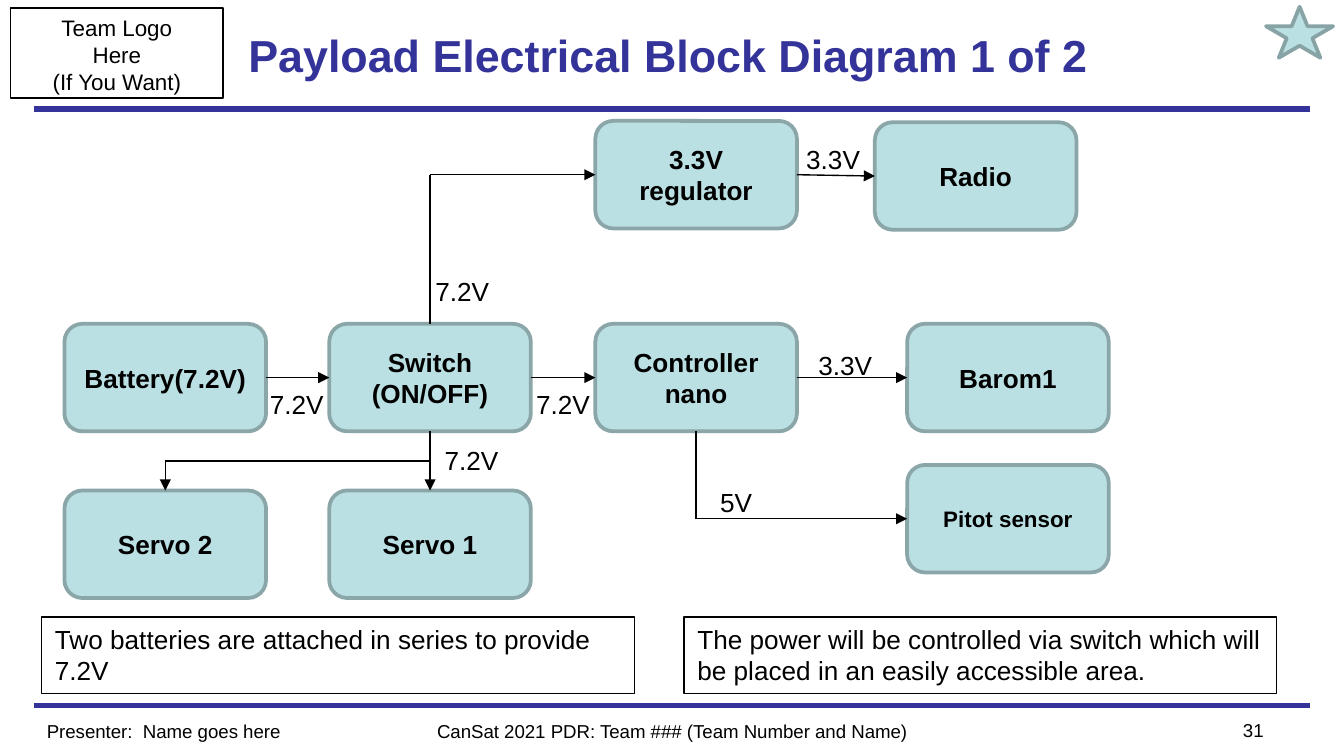
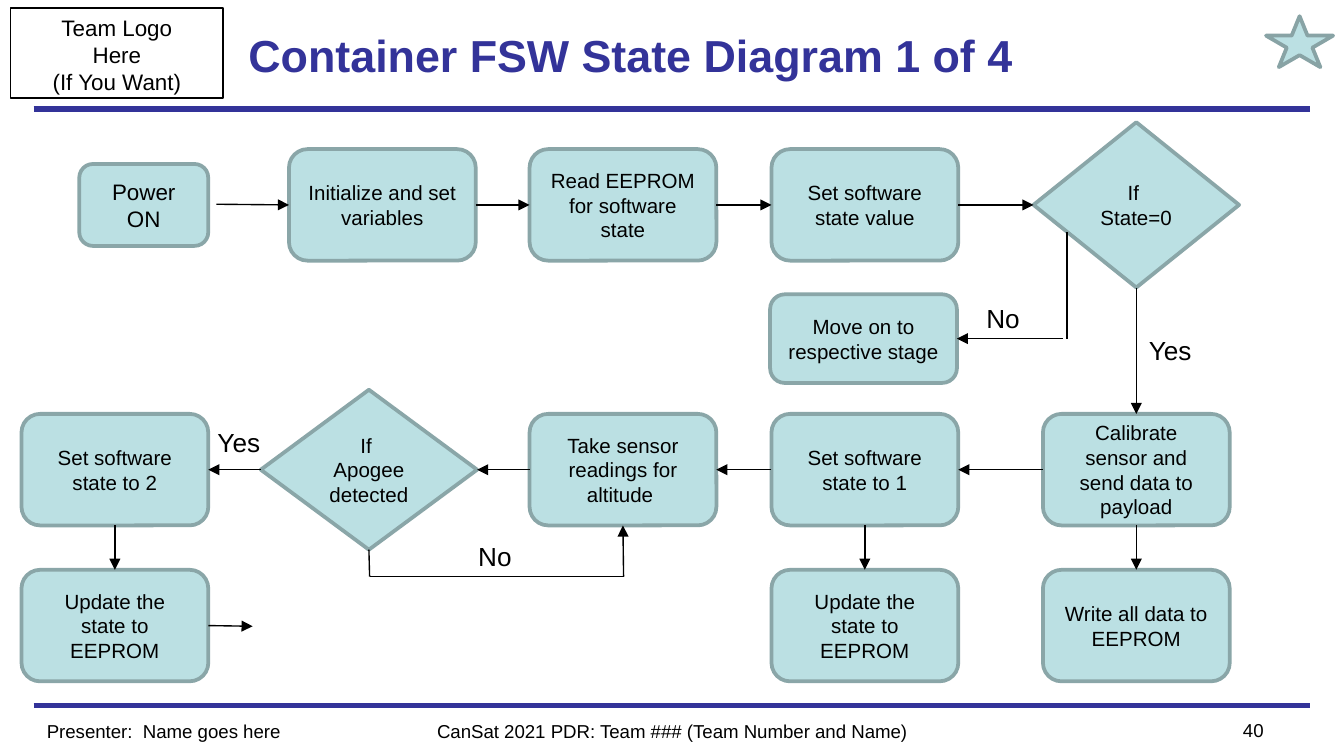
from lxml.etree import SubElement
from pptx import Presentation
from pptx.dml.color import RGBColor
from pptx.enum.shapes import MSO_CONNECTOR, MSO_SHAPE
from pptx.enum.text import MSO_ANCHOR, MSO_AUTO_SIZE, PP_ALIGN
from pptx.oxml.ns import qn
from pptx.util import Pt

PX = 9144  # EMU in one px, 100 px to the inch
SLIDE_WIDTH = 1000  # the slide is 16:9

FONT = "Arial"
BLACK = RGBColor(0x00, 0x00, 0x00)
NAVY = RGBColor(0x33, 0x33, 0x99)
AQUA = RGBColor(0xBB, 0xE0, 0xE3)
STAR_EDGE = RGBColor(0x88, 0xA3, 0xA5)
NODE_EDGE = RGBColor(0x8A, 0xA6, 0xA8)

# Shared frame
LOGO_TEXT = "Team Logo\nHere\n(If You Want)"
PRESENTER = "Presenter:  Name goes here"
FOOTER = "CanSat 2021 PDR: Team ### (Team Number and Name)"
BAND_LEVELS = (81, 525)

SITES = {"top": 0, "left": 1, "bottom": 2, "right": 3}
LABEL_WIDTHS = {"7.2V": 61, "3.3V": 61, "5V": 61, "Yes": 54, "No": 45}

# Block diagram: name -> (text, left, top)
BLOCK_SIZE = (150, 80)
BLOCKS = {
    "battery": ("Battery(7.2V)", 48, 241),
    "switch": ("Switch\n(ON/OFF)", 245, 241),
    "controller": ("Controller nano", 443, 241),
    "regulator": ("3.3V regulator", 443, 90),
    "radio": ("Radio", 651, 91),
    "barometer": ("Barom1", 675, 241),
    "pitot": ("Pitot sensor", 675, 346),
    "servo 1": ("Servo 1", 245, 365),
    "servo 2": ("Servo 2", 48, 365),
}
SMALL_BLOCKS = {"pitot"}
# Each wire passes through node sides (name, side) and free points (x, y)
WIRES = [
    [("battery", "right"), ("switch", "left")],
    [("switch", "right"), ("controller", "left")],
    [("switch", "top"), (320, 130), ("regulator", "left")],
    [("regulator", "right"), ("radio", "left")],
    [("controller", "right"), ("barometer", "left")],
    [("controller", "bottom"), (518, 386), ("pitot", "left")],
    [("switch", "bottom"), ("servo 1", "top")],
    [(320, 343), (123, 343), ("servo 2", "top")],
]
VOLTAGES = [
    ("7.2V", 314, 200), ("7.2V", 389, 284), ("7.2V", 191, 284),
    ("3.3V", 599, 255), ("5V", 526, 357), ("3.3V", 590, 102),
    ("7.2V", 321, 326),
]
NOTES = [
    ("Two batteries are attached in series to provide 7.2V", 31),
    ("The power will be controlled via switch which will be placed in an "
     "easily accessible area.", 509),
]

# State diagram: columns and rows of equal boxes
STATE_SIZE = (139, 83)
COLUMNS = {"A": 16, "B": 215, "C": 394, "D": 574, "E": 776}
ROWS = {1: 111, 2: 308, 3: 424}
STATES = {
    "initialize": ("Initialize and set variables", "B", 1),
    "read": ("Read EEPROM for software state", "C", 1),
    "set value": ("Set software state value", "D", 1),
    "calibrate": ("Calibrate sensor and send data to payload", "E", 2),
    "set 1": ("Set software state to 1", "D", 2),
    "altitude": ("Take sensor readings for altitude ", "C", 2),
    "set 2": ("Set software state to 2", "A", 2),
    "update 2": ("Update the state to EEPROM", "A", 3),
    "write": ("Write all data to EEPROM", "E", 3),
    "update 1": ("Update the state to EEPROM", "D", 3),
}
# Nodes of other sizes: name -> (shape, text, frame, text size)
SPECIAL_STATES = {
    "power": (MSO_SHAPE.ROUNDED_RECTANGLE, "Power ON", (59, 122, 96, 61), 12),
    "move on": (MSO_SHAPE.ROUNDED_RECTANGLE, "Move on to respective stage",
                (573, 219, 139, 66), 11),
    "state 0": (MSO_SHAPE.DIAMOND, "If \nState=0", (769, 91, 153, 123), 11),
    "apogee": (MSO_SHAPE.DIAMOND, "If \nApogee detected",
               (194, 290, 161, 119), 11),
}
TRANSITIONS = [
    [(161, 152), ("initialize", "left")],
    [("initialize", "right"), ("read", "left")],
    [("read", "right"), ("set value", "left")],
    [("set value", "right"), ("state 0", "left")],
    [("state 0", "bottom"), ("calibrate", "top")],
    [("calibrate", "left"), ("set 1", "right")],
    [("calibrate", "bottom"), ("write", "top")],
    [("set 1", "bottom"), ("update 1", "top")],
    [("set 1", "left"), ("altitude", "right")],
    [("altitude", "left"), ("apogee", "right")],
    [("apogee", "left"), ("set 2", "right")],
    [("set 2", "bottom"), ("update 2", "top")],
    [("update 2", "right"), (188, 466)],
    [("apogee", "bottom"), (275, 429), (464, 429), ("altitude", "bottom")],
    [(791, 252), ("move on", "right")],
]
NO_BRANCH = [(794, 173), (794, 252)]
ANSWERS = [("Yes", 845, 244), ("Yes", 152, 312), ("No", 724, 220), ("No", 346, 397)]


def scale(lengths):
    return [round(length * PX) for length in lengths]


def write_text(box, text, size=14, color=BLACK, bold=False, align=PP_ALIGN.LEFT,
               anchor=MSO_ANCHOR.TOP, wrap=True):
    frame = box.text_frame
    frame.word_wrap = wrap
    frame.vertical_anchor = anchor
    for index, line in enumerate(text.split("\n")):
        para = frame.add_paragraph() if index else frame.paragraphs[0]
        para.alignment = align
        span = para.add_run()
        span.text = line
        span.font.name = FONT
        span.font.size = Pt(size)
        span.font.bold = bold
        span.font.color.rgb = color


def add_text(page, text, area, **style):
    box = page.shapes.add_textbox(*scale(area))
    write_text(box, text, **style)
    return box


def add_figure(page, kind, area, fill=None, edge=BLACK, weight=0.75):
    shape = page.shapes.add_shape(kind, *scale(area))
    shape.shadow.inherit = False
    if fill is None:
        shape.fill.background()
    else:
        shape.fill.solid()
        shape.fill.fore_color.rgb = fill
    shape.line.color.rgb = edge
    shape.line.width = Pt(weight)
    return shape


def add_node(page, text, area, kind=MSO_SHAPE.ROUNDED_RECTANGLE, size=14, bold=False):
    node = add_figure(page, kind, area, AQUA, NODE_EDGE, 2)
    write_text(node, text, size=size, bold=bold, align=PP_ALIGN.CENTER,
               anchor=MSO_ANCHOR.MIDDLE)
    return node


def add_line(page, start, end, color=BLACK, weight=0.75, arrow=False):
    line = page.shapes.add_connector(MSO_CONNECTOR.STRAIGHT, *scale(start + end))
    line.line.color.rgb = color
    line.line.width = Pt(weight)
    if arrow:
        SubElement(line.line._get_or_add_ln(), qn("a:tailEnd"), type="triangle")
    SubElement(line._element.spPr, qn("a:effectLst"))
    return line


def add_route(page, nodes, points, arrow=True):
    """Join the points by lines, glued to nodes, with an arrow at the end."""
    last = len(points) - 2
    for index, (start, end) in enumerate(zip(points, points[1:])):
        free = [(0, 0) if point[0] in nodes else point for point in (start, end)]
        line = add_line(page, *free, arrow=arrow and index == last)
        if start[0] in nodes:
            line.begin_connect(nodes[start[0]], SITES[start[1]])
        if end[0] in nodes:
            line.end_connect(nodes[end[0]], SITES[end[1]])


def add_labels(page, labels):
    for text, left, top in labels:
        box = add_text(page, text, (left, top, LABEL_WIDTHS[text], 34),
                       wrap=text == "5V")
        box.text_frame.auto_size = MSO_AUTO_SIZE.SHAPE_TO_FIT_TEXT


def add_page(deck, title, number, star_top):
    page = deck.slides.add_slide(deck.slide_layouts[6])
    for level in BAND_LEVELS:
        add_line(page, (25, level), (975, level), NAVY, 3)
    logo = add_figure(page, MSO_SHAPE.RECTANGLE, (8, 6, 158, 67))
    write_text(logo, LOGO_TEXT, size=12, align=PP_ALIGN.CENTER)
    add_text(page, title, (175, 6, 650, 69), size=24, color=NAVY, bold=True,
             anchor=MSO_ANCHOR.MIDDLE)
    add_text(page, PRESENTER, (25, 531, 250, 20), size=10)
    add_text(page, FOOTER, (300, 531, 400, 20), size=10, align=PP_ALIGN.CENTER)
    add_text(page, number, (875, 530, 75, 20), size=10, align=PP_ALIGN.RIGHT)
    add_figure(page, MSO_SHAPE.STAR_5_POINT, (942, star_top, 50, 38),
               AQUA, STAR_EDGE, 2)
    return page


def build_block_diagram(deck):
    page = add_page(deck, "Payload Electrical Block Diagram 1 of 2", "31", 5)
    nodes = {}
    for name, (text, left, top) in BLOCKS.items():
        size = 12 if name in SMALL_BLOCKS else 14
        nodes[name] = add_node(page, text, (left, top, *BLOCK_SIZE),
                               size=size, bold=True)
    for wire in WIRES:
        add_route(page, nodes, wire)
    add_labels(page, VOLTAGES)
    for text, left in NOTES:
        note = add_figure(page, MSO_SHAPE.RECTANGLE, (left, 459, 441, 57))
        write_text(note, text)


def build_state_diagram(deck):
    page = add_page(deck, "Container FSW State Diagram 1 of 4", "40", 12)
    nodes = {}
    for name, (text, column, row) in STATES.items():
        area = (COLUMNS[column], ROWS[row], *STATE_SIZE)
        nodes[name] = add_node(page, text, area, size=11)
    for name, (kind, text, area, size) in SPECIAL_STATES.items():
        nodes[name] = add_node(page, text, area, kind, size)
    for transition in TRANSITIONS:
        add_route(page, nodes, transition)
    add_route(page, nodes, NO_BRANCH, arrow=False)
    add_labels(page, ANSWERS)


def main():
    deck = Presentation()
    deck.slide_width = SLIDE_WIDTH * PX
    deck.slide_height = deck.slide_width * 9 // 16
    build_block_diagram(deck)
    build_state_diagram(deck)
    deck.save("out.pptx")


if __name__ == "__main__":
    main()
